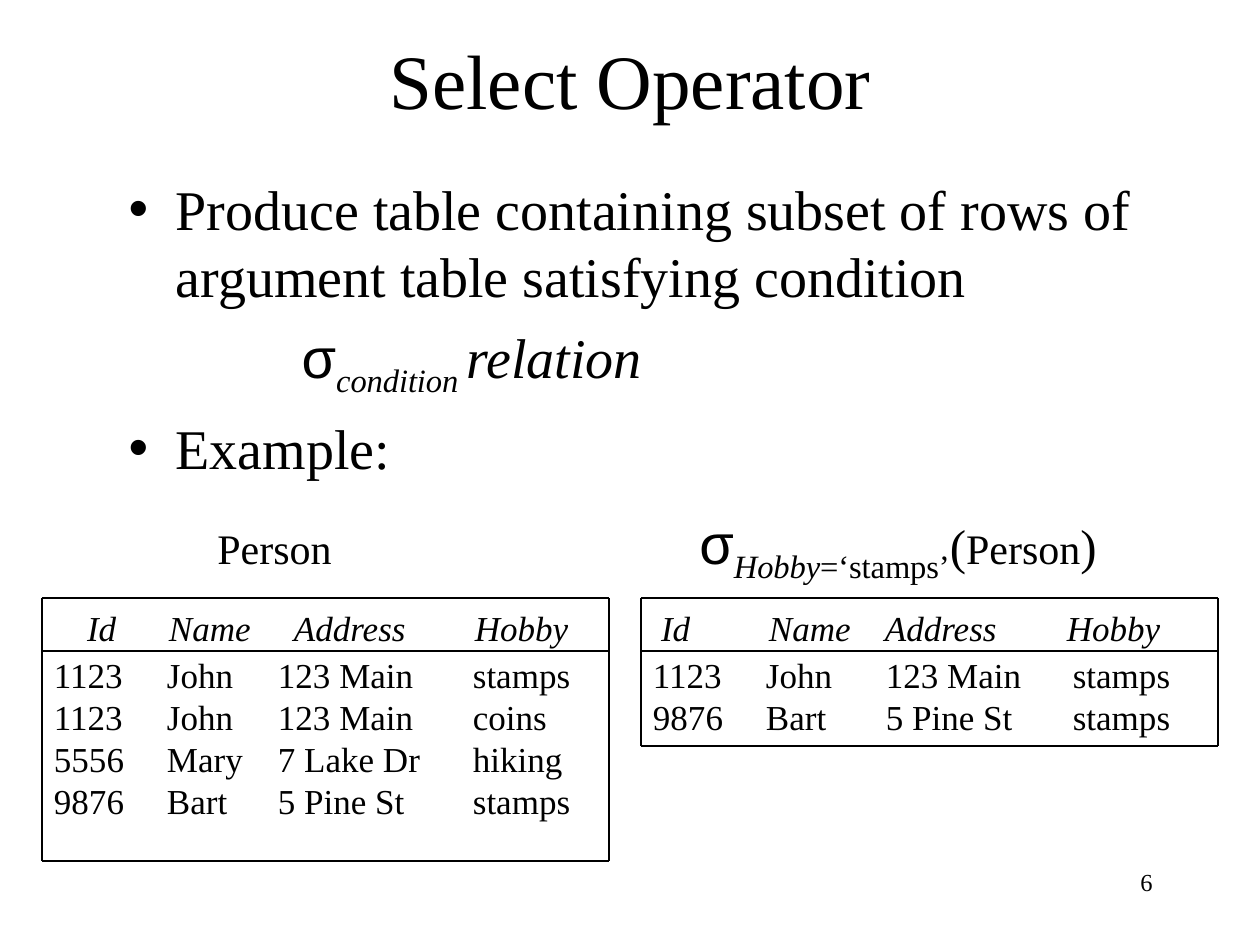
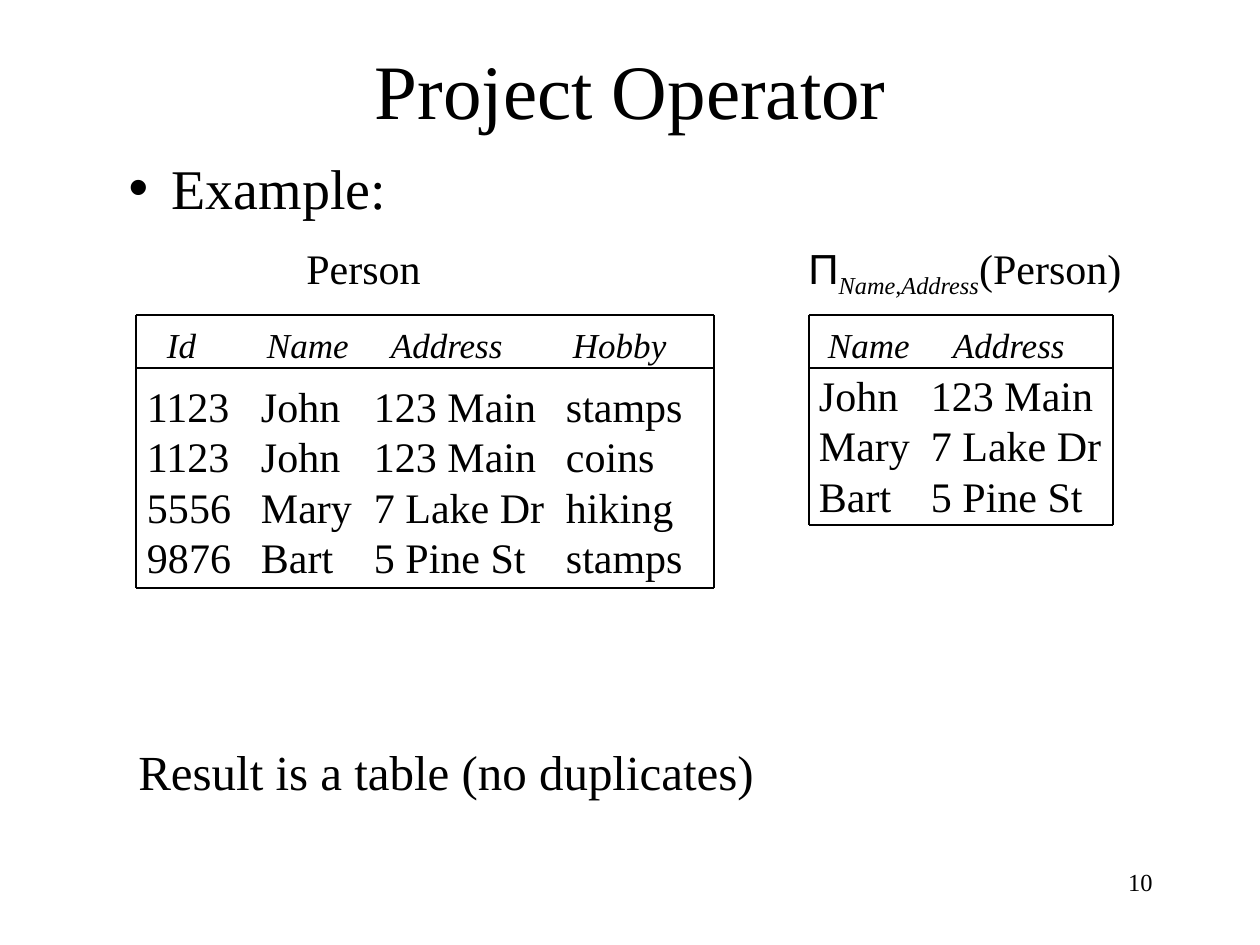
from lxml.etree import SubElement
from pptx import Presentation
from pptx.dml.color import RGBColor
from pptx.enum.shapes import MSO_CONNECTOR
from pptx.enum.text import MSO_ANCHOR, MSO_AUTO_SIZE, PP_ALIGN
from pptx.oxml.ns import qn
from pptx.util import Pt

PX_PER_INCH = 126
PX_PER_POINT = PX_PER_INCH / 72
COLORS = {"ink": "000000"}
SERIF, SYMBOL = "Times New Roman", "Arial"
PLAIN_TABLE_STYLE = "{2D5ABB26-0587-4C30-8999-92F81FD0307C}"
PAGE_SIZE = (1260, 945)
NUMBER_BOX = (903, 861, 262, 63)
HEADER_HEIGHT = 53
INSET_X, INSET_Y = 13, 6

ITALIC = {"italic": True}
SUB = {"sub": True}
SUB_ITALIC = {"italic": True, "sub": True}

PEOPLE = [
    ("1123", "John", "123 Main", "stamps"),
    ("1123", "John", "123 Main", "coins"),
    ("5556", "Mary", "7 Lake Dr", "hiking"),
    ("9876", "Bart", "5 Pine St", "stamps"),
]
PERSON_COLUMNS = ("Id", "Name", "Address", "Hobby")

# A caption's "at" is the left end of its baseline.
SLIDES = [
    {
        "title": "Select Operator",
        "title_box": (95, 31, 1071, 95),
        "number": 6,
        "body_box": (116, 168, 1071, 330),
        "body": [
            {"spans": [("Produce table containing subset of rows of "
                        "argument table satisfying condition", {})],
             "bullet": 47},
            {"spans": [("σ", {"name": SYMBOL}), ("condition ", SUB_ITALIC),
                       ("relation", ITALIC)],
             "indent": 173, "before": 8},
            {"spans": [("Example:", {})], "bullet": 47, "before": 8},
        ],
        "tables": [
            {"caption": {"spans": [("Person", {})], "size": 24, "at": (218, 564)},
             "frame": (42, 598, 609, 861), "columns": PERSON_COLUMNS, "rows": PEOPLE,
             "head_x": (87, 169, 294, 475), "body_x": (54, 167, 278, 473),
             "size": 20, "line": 42, "pad": 6},
            {"caption": {"spans": [("σ", {"name": SYMBOL}), ("Hobby", SUB_ITALIC),
                                   ("=‘stamps’", SUB), ("(", {"size": 28}),
                                   ("Person", {"size": 24}), (")", {"size": 28})],
                         "size": 32, "at": (700, 564)},
             "frame": (641, 598, 1218, 746), "columns": PERSON_COLUMNS,
             "rows": [PEOPLE[0], PEOPLE[3]],
             "head_x": (661, 769, 885, 1067), "body_x": (653, 766, 886, 1073),
             "size": 20, "line": 42, "pad": 6},
        ],
    },
    {
        "title": "Project Operator",
        "title_box": (95, 41, 1071, 95),
        "number": 10,
        "body_box": (116, 147, 1061, 80),
        "body": [{"spans": [("Example:", {})], "bullet": 43}],
        "tables": [
            {"caption": {"spans": [("Person", {})], "size": 24, "at": (307, 284)},
             "frame": (136, 315, 714, 588), "columns": PERSON_COLUMNS, "rows": PEOPLE,
             "head_x": (167, 267, 391, 573), "body_x": (147, 261, 374, 566),
             "size": 24, "line": 50, "pad": 17},
            {"caption": {"spans": [("Π", {"name": SYMBOL}),
                                   ("Name,Address", SUB_ITALIC), ("(Person)", {})],
                         "size": 24, "at": (809, 284)},
             "frame": (809, 315, 1113, 525), "columns": PERSON_COLUMNS[1:3],
             "rows": [PEOPLE[index][1:3] for index in (0, 2, 3)],
             "head_x": (828, 953), "body_x": (819, 931),
             "size": 24, "line": 50, "pad": 6},
        ],
        "note": ("Result is a table (no duplicates)", (126, 735, 720, 72)),
    },
]


def px(length):
    return round(length * 914400 / PX_PER_INCH)


def style_font(font, size=None, name=None, italic=None):
    font.color.rgb = RGBColor.from_string(COLORS["ink"])
    if size:
        font.size = Pt(size)
    if name:
        font.name = name
    if italic is not None:
        font.italic = italic


def place(shape, box):
    shape.left, shape.top, shape.width, shape.height = map(px, box)
    shape.text_frame.auto_size = MSO_AUTO_SIZE.NONE


def write_line(para, text, size, align=PP_ALIGN.LEFT, italic=False):
    para.text = text
    para.alignment = align
    style_font(para.font, size, SERIF, italic)


def add_text(page, text, box, size, align=PP_ALIGN.LEFT):
    shape = page.shapes.add_textbox(*map(px, box))
    shape.text_frame.word_wrap = True
    write_line(shape.text_frame.paragraphs[0], text, size, align)


def set_bullet(para, item):
    props = para._p.get_or_add_pPr()
    hang = item.get("bullet", 0)
    props.set("marL", str(px(hang or item.get("indent", 0))))
    props.set("indent", str(-px(hang)))
    if hang:
        SubElement(props, qn("a:buFont"), typeface=SYMBOL)
        SubElement(props, qn("a:buChar"), char="•")
    else:
        SubElement(props, qn("a:buNone"))


def add_spans(para, item):
    style_font(para.font, item.get("size", 32), SERIF)
    for text, look in item["spans"]:
        span = para.add_run()
        span.text = text
        font_look = {key: value for key, value in look.items() if key != "sub"}
        style_font(span.font, **font_look)
        if look.get("sub"):
            span._r.get_or_add_rPr().set("baseline", "-25000")


def fill_body(frame, items):
    for index, item in enumerate(items):
        para = frame.paragraphs[0] if index == 0 else frame.add_paragraph()
        set_bullet(para, item)
        para.space_before = Pt(item.get("before", 0))
        add_spans(para, item)


def add_caption(page, caption):
    x, baseline = caption["at"]
    ascent = caption["size"] * PX_PER_POINT
    box = (x - INSET_X, baseline - ascent - INSET_Y, 440, 80)
    shape = page.shapes.add_textbox(*map(px, box))
    shape.text_frame.word_wrap = True
    add_spans(shape.text_frame.paragraphs[0], caption)


def add_rule(page, start, end):
    rule = page.shapes.add_connector(MSO_CONNECTOR.STRAIGHT, *map(px, start + end))
    rule.line.width = Pt(0.75)
    rule.line.color.rgb = RGBColor.from_string(COLORS["ink"])
    SubElement(rule._element.spPr, qn("a:effectLst"))


def add_frame(page, left, top, right, bottom):
    levels = (top, top + HEADER_HEIGHT, bottom)
    for level in levels:
        add_rule(page, (left, level), (right, level))
    for x in (left, right):
        for upper, lower in zip(levels, levels[1:]):
            add_rule(page, (x, upper), (x, lower))


def add_relation(page, relation):
    left, top, right, bottom = relation["frame"]
    rows = [relation["columns"], *relation["rows"]]
    starts = [min(pair) for pair in zip(relation["head_x"], relation["body_x"])]
    edges = [left, *starts[1:], right]
    line, pad = relation["line"], relation["pad"]
    heights = [HEADER_HEIGHT, line + pad] + [line] * (len(rows) - 3)
    heights.append(bottom - top - sum(heights))

    table = page.shapes.add_table(len(rows), len(rows[0]), px(left), px(top),
                                  px(right - left), px(bottom - top)).table
    table.first_row = table.horz_banding = False
    table._tbl.tblPr.find(qn("a:tableStyleId")).text = PLAIN_TABLE_STYLE
    for column, start, end in zip(table.columns, edges, edges[1:]):
        column.width = px(end - start)
    for row, height in zip(table.rows, heights):
        row.height = px(height)

    for r, values in enumerate(rows):
        is_head = r == 0
        text_x = relation["head_x" if is_head else "body_x"]
        for c, value in enumerate(values):
            cell = table.cell(r, c)
            cell.fill.background()
            cell.margin_left, cell.margin_right = px(text_x[c] - edges[c]), 0
            cell.margin_top = px(pad) if r == 1 else 0
            cell.margin_bottom = px(2) if is_head else 0
            cell.vertical_anchor = MSO_ANCHOR.BOTTOM if is_head else MSO_ANCHOR.TOP
            write_line(cell.text_frame.paragraphs[0], value,
                       20 if is_head else relation["size"], italic=is_head)
    add_frame(page, left, top, right, bottom)


def build_slide(deck, content):
    page = deck.slides.add_slide(deck.slide_layouts[1])
    title, body = page.shapes.title, page.placeholders[1]
    place(title, content["title_box"])
    title.text_frame.vertical_anchor = MSO_ANCHOR.MIDDLE
    write_line(title.text_frame.paragraphs[0], content["title"], 44, PP_ALIGN.CENTER)
    place(body, content["body_box"])
    fill_body(body.text_frame, content["body"])
    for relation in content["tables"]:
        add_caption(page, relation["caption"])
        add_relation(page, relation)
    if "note" in content:
        add_text(page, *content["note"], 28)
    add_text(page, str(content["number"]), NUMBER_BOX, 14, PP_ALIGN.RIGHT)


def main():
    deck = Presentation()
    deck.slide_width, deck.slide_height = map(px, PAGE_SIZE)
    for content in SLIDES:
        build_slide(deck, content)
    deck.save("out.pptx")


if __name__ == "__main__":
    main()
